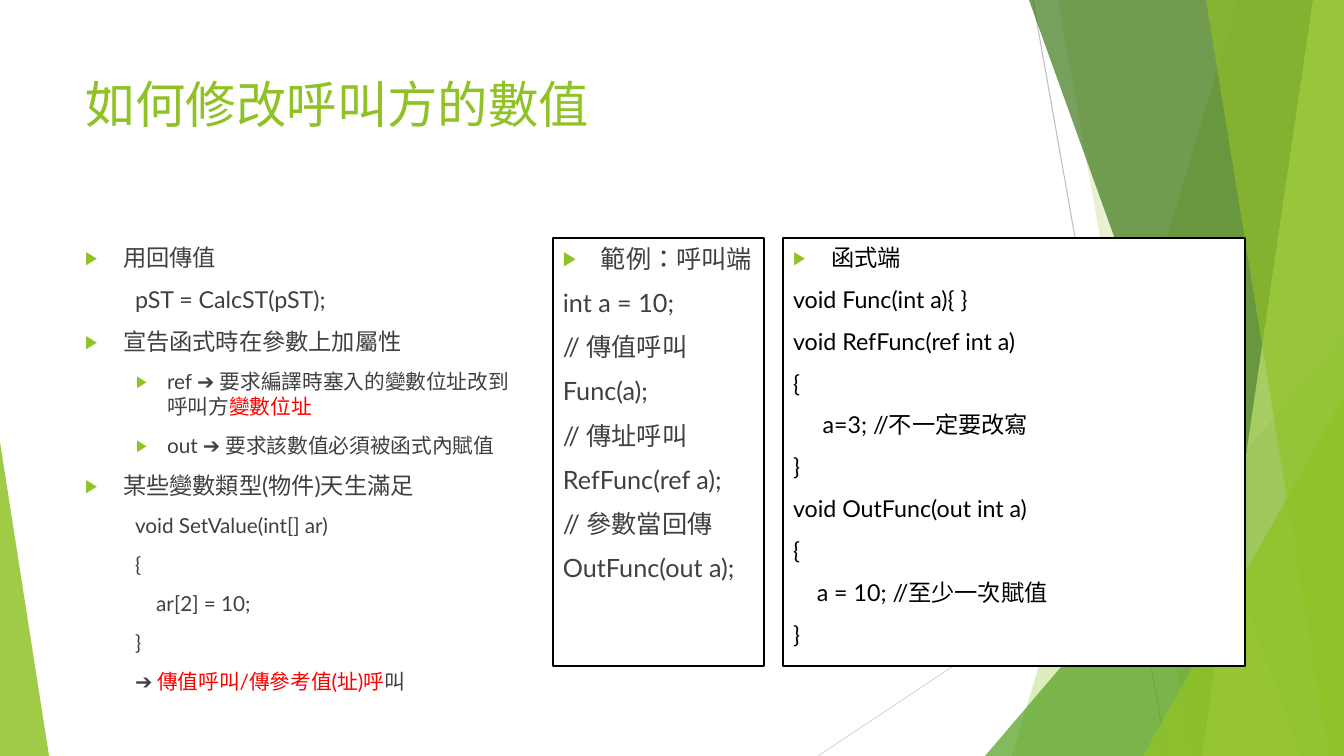
from lxml.etree import SubElement
from pptx import Presentation
from pptx.dml.color import RGBColor
from pptx.enum.shapes import MSO_CONNECTOR, MSO_SHAPE
from pptx.enum.text import MSO_ANCHOR, MSO_AUTO_SIZE, PP_ALIGN
from pptx.oxml.ns import qn
from pptx.util import Pt

WIDTH, HEIGHT = 1344, 756
SCALE = 12192000 / WIDTH
COLORS = {
    "lime": "90C226", "green": "54A021", "forest": "3F7819", "pale": "C0E474",
    "gray": "BFBFBF", "silver": "D9D9D9", "text": "404040",
    "red": "FF0000", "black": "000000", "white": "FFFFFF",
}


def px(length):
    return round(length * SCALE)


def color(name):
    return RGBColor.from_string(COLORS[name])


def add_run(paragraph, text, size, ink):
    run = paragraph.add_run()
    run.text = text
    run.font.name = SlideBuilder.font_name
    run.font.size = Pt(size)
    run.font.color.rgb = color(ink)
    run.font._element.set("lang", "zh-TW")


def set_bullet(paragraph, bullet, left):
    """Set the left margin and either a hanging triangle bullet or none."""
    properties = paragraph._p.get_or_add_pPr()
    hanging = {"none": 0, "main": 38, "sub": 31}[bullet]
    properties.set("marL", str(px(left)))
    properties.set("indent", str(-px(hanging)))
    if bullet == "none":
        SubElement(properties, qn("a:buNone"))
        return
    bullet_color = SubElement(properties, qn("a:buClr"))
    SubElement(bullet_color, qn("a:srgbClr"), val=COLORS["lime"])
    SubElement(properties, qn("a:buSzPct"), val="80000")
    SubElement(properties, qn("a:buFont"), typeface=SlideBuilder.font_name)
    SubElement(properties, qn("a:buChar"), char="▶")


class SlideBuilder:
    font_name = "Lato"

    def __init__(self, presentation):
        two_content = presentation.slide_layouts[3]
        self.slide = presentation.slides.add_slide(two_content)
        self.shapes = self.slide.shapes

    def line(self, start, end, ink):
        connector = self.shapes.add_connector(
            MSO_CONNECTOR.STRAIGHT, *map(px, start + end))
        connector.line.color.rgb = color(ink)
        connector.line.width = Pt(0.75)
        SubElement(connector._element.spPr, qn("a:effectLst"))

    def tint(self, shape, ink, opacity):
        shape.shadow.inherit = False
        shape.fill.solid()
        shape.fill.fore_color.rgb = color(ink)
        shape.line.fill.background()
        fill_color = shape._element.spPr.find(".//" + qn("a:srgbClr"))
        SubElement(fill_color, qn("a:alpha"), val=str(opacity * 1000))

    def band(self, top_left, bottom_left, ink, opacity):
        """Fill the slide from a slanted left edge to its right side."""
        builder = self.shapes.build_freeform(top_left, 0, scale=SCALE)
        builder.add_line_segments(
            [(WIDTH, 0), (WIDTH, HEIGHT), (bottom_left, HEIGHT)], close=True)
        self.tint(builder.convert_to_shape(), ink, opacity)

    def triangle(self, left, top, width, apex, ink, opacity):
        """Stand a triangle on the bottom edge, with its apex at 0 or 1."""
        shape = self.shapes.add_shape(
            MSO_SHAPE.ISOSCELES_TRIANGLE,
            *map(px, (left, top, width, HEIGHT - top)))
        shape.adjustments[0] = apex
        self.tint(shape, ink, opacity)

    def placeholder(self, index, box):
        """Move a placeholder to its box, in front of what is drawn so far."""
        shape = self.slide.placeholders[index]
        shape.left, shape.top, shape.width, shape.height = map(px, box)
        shape._element.getparent().append(shape._element)
        return shape

    def frame(self, shape):
        shape.fill.solid()
        shape.fill.fore_color.rgb = color("white")
        shape.line.color.rgb = color("black")
        shape.line.width = Pt(1.5)

    def rectangle(self, box):
        shape = self.shapes.add_shape(MSO_SHAPE.RECTANGLE, *map(px, box))
        shape.shadow.inherit = False
        return shape

    def set_text(self, shape, rows, ink="text"):
        """Fill a shape with rows of (bullet, left margin, size, runs)."""
        text_frame = shape.text_frame
        text_frame.word_wrap = True
        text_frame.auto_size = MSO_AUTO_SIZE.NONE
        text_frame.vertical_anchor = MSO_ANCHOR.TOP
        for number, (bullet, left, size, runs) in enumerate(rows):
            paragraph = text_frame.add_paragraph() if number else text_frame.paragraphs[0]
            paragraph.alignment = PP_ALIGN.LEFT
            paragraph.level = 1 if bullet == "sub" else 0
            paragraph.space_before = Pt(10 if number else 0)
            set_bullet(paragraph, bullet, left)
            for run in runs:
                text, run_ink = (run, ink) if isinstance(run, str) else run
                add_run(paragraph, text, size, run_ink)


def code_rows(heading, lines, size):
    return [("main", 38, size, [heading])] + [("none", 0, size, [line]) for line in lines]


def draw_background(builder):
    builder.line((1033, 0), (1167, HEIGHT), "gray")
    builder.line((WIDTH, 406), (818, HEIGHT), "silver")
    builder.band(1238, 1012, "lime", 30)
    builder.band(1058, 1192, "lime", 20)
    builder.triangle(985, 336, 359, 1, "green", 72)
    builder.band(1029, 1301, "forest", 70)
    builder.band(1313, 1202, "pale", 70)
    builder.band(1206, 1329, "lime", 65)
    builder.triangle(1143, 396, 201, 1, "lime", 80)
    builder.triangle(0, 442, 49, 0, "lime", 85)


def main():
    presentation = Presentation()
    presentation.slide_width, presentation.slide_height = px(WIDTH), px(HEIGHT)
    builder = SlideBuilder(presentation)
    draw_background(builder)

    title = builder.placeholder(0, (75, 68, 947, 145))
    builder.set_text(title, [("none", 0, 36, ["如何修改呼叫方的數值"])], ink="lime")

    top, height = 238, 428
    methods = builder.placeholder(1, (75, top, 462, height))
    builder.set_text(methods, [
        ("main", 38, 16.6, ["用回傳值"]),
        ("none", 50, 16.6, ["pST = CalcST(pST);"]),
        ("main", 38, 16.6, ["宣告函式時在參數上加屬性"]),
        ("sub", 82, 14.8, ["ref ➔ 要求編譯時塞入的變數位址改到呼叫方", ("變數位址", "red")]),
        ("sub", 82, 14.8, ["out ➔ 要求該數值必須被函式內賦值"]),
        ("main", 38, 16.6, ["某些變數類型(物件)天生滿足"]),
        *[("none", 50, 14.8, [line]) for line in
          ("void SetValue(int[] ar)", "{", "    ar[2] = 10;", "}")],
        ("none", 50, 14.8, ["➔ ", ("傳值呼叫/傳參考值(址)呼", "red"), "叫"]),
    ])

    functions = builder.placeholder(2, (783, top, 462, height))
    builder.frame(functions)
    builder.set_text(functions, code_rows("函式端", [
        "void Func(int a){ }",
        "void RefFunc(ref int a)", "{", "     a=3; //不一定要改寫", "}",
        "void OutFunc(out int a)", "{", "    a = 10; //至少一次賦值", "}",
    ], 16.6), ink="black")

    caller = builder.rectangle((553, top, 211, height))
    builder.frame(caller)
    builder.set_text(caller, code_rows("範例：呼叫端", [
        "int a = 10;",
        "// 傳值呼叫", "Func(a);",
        "// 傳址呼叫", "RefFunc(ref a);",
        "// 參數當回傳", "OutFunc(out a);",
    ], 18))

    presentation.save("out.pptx")


if __name__ == "__main__":
    main()
